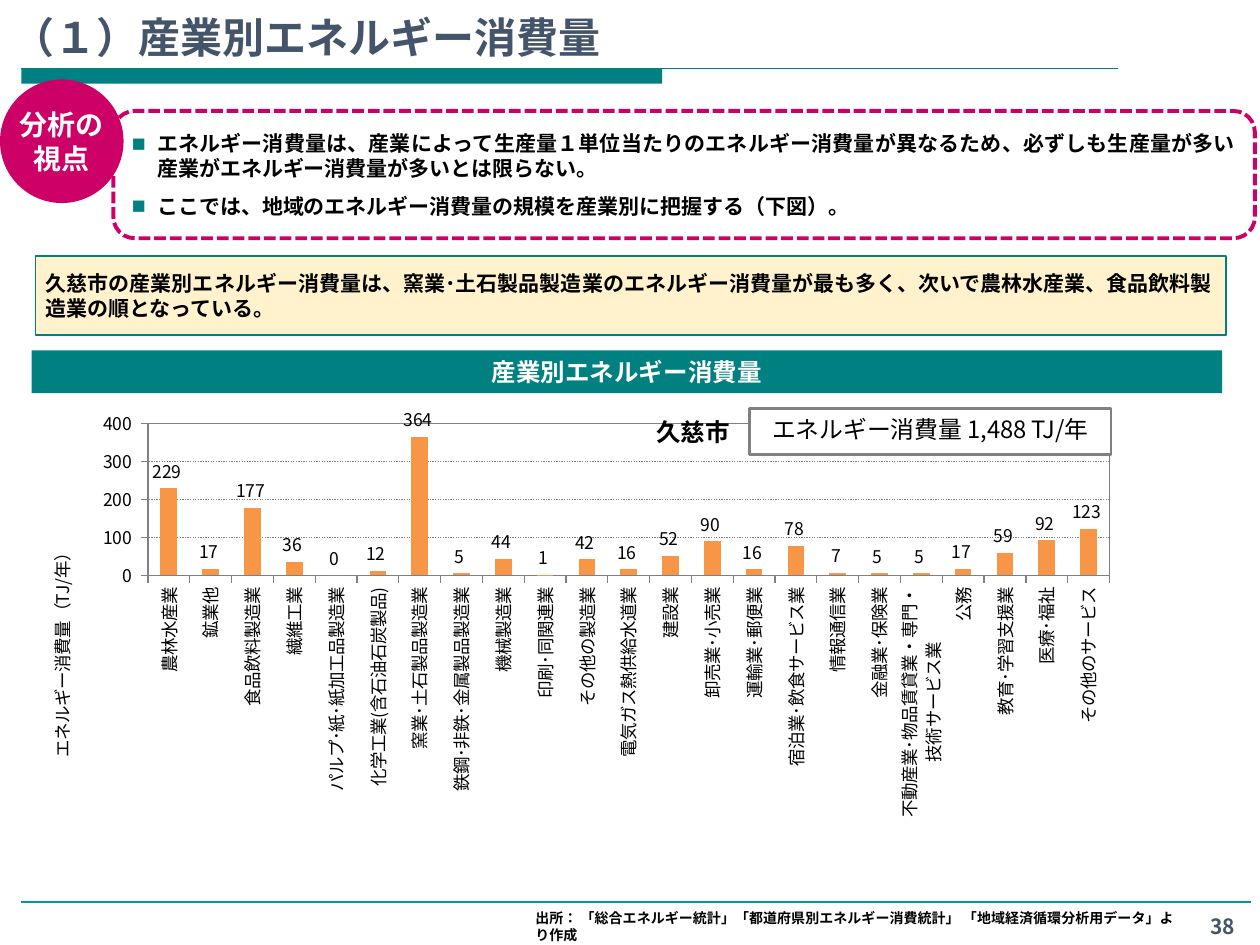
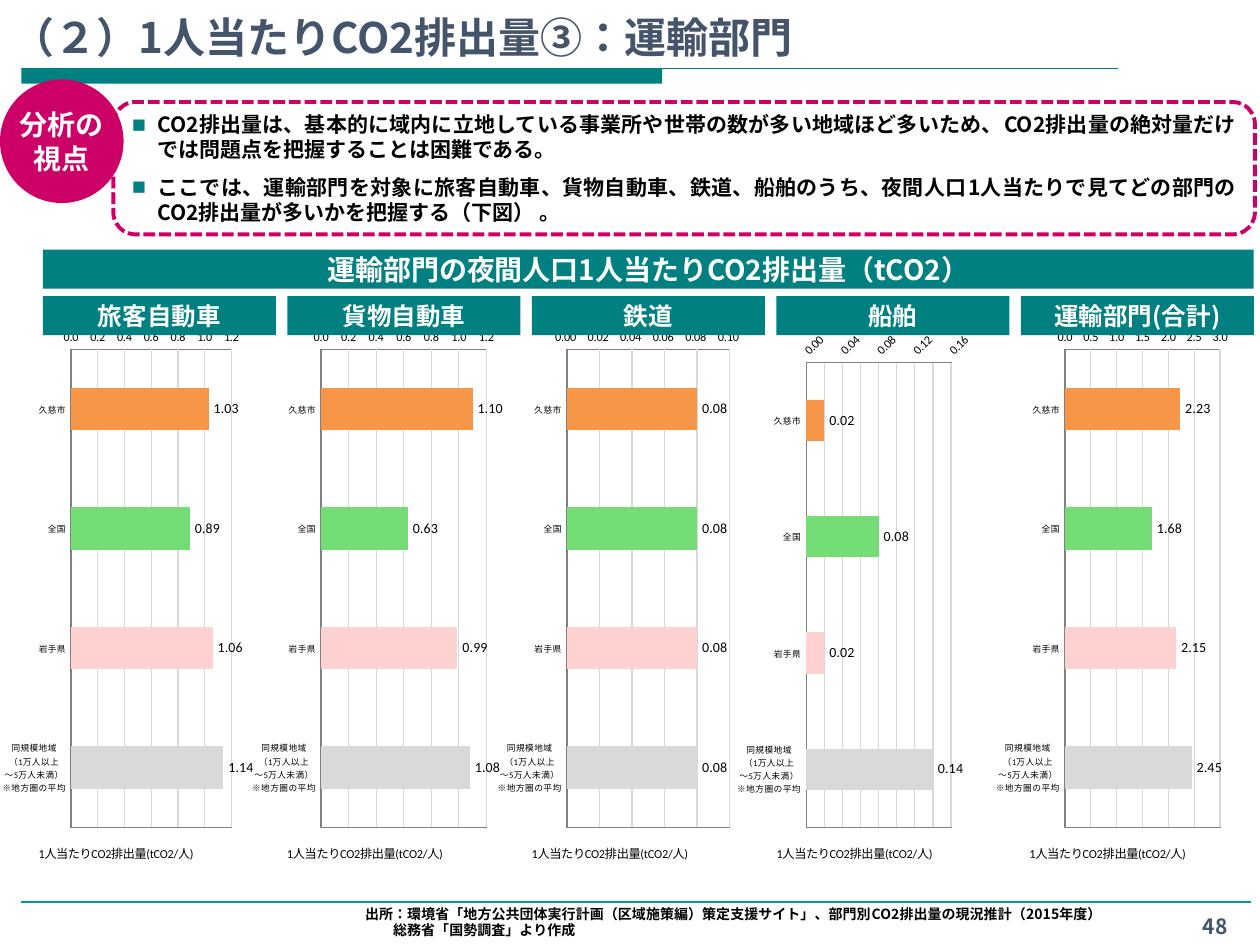
from lxml.etree import SubElement
from pptx import Presentation
from pptx.chart.data import CategoryChartData
from pptx.dml.color import RGBColor
from pptx.enum.chart import XL_CHART_TYPE, XL_LABEL_POSITION, XL_TICK_MARK
from pptx.enum.dml import MSO_LINE
from pptx.enum.shapes import MSO_CONNECTOR, MSO_SHAPE
from pptx.enum.text import MSO_ANCHOR, MSO_AUTO_SIZE, PP_ALIGN
from pptx.oxml import parse_xml
from pptx.oxml.ns import nsdecls, qn
from pptx.util import Pt

COLORS = {
    "teal": "008080", "footer line": "009999", "pink": "CC0066", "cream": "FFF2CC",
    "slate": "44546A", "white": "FFFFFF", "black": "000000", "gray": "808080",
    "grid": "D9D9D9", "orange": "F79646", "green": "75DD75", "rose": "FFD1D1",
}
COLORS = {name: RGBColor.from_string(value) for name, value in COLORS.items()}
FONT = "Noto Sans CJK JP"
CHART_FONT = "Calibri"
ONE_DECIMAL = "#,##0.0;[Red]\\-#,##0.0"
TWO_DECIMALS = "#,##0.00_);[Red]\\(#,##0.00\\)"
INTEGER = "#,##0_);[Red]\\(#,##0\\)"


def add_box(slide, kind, box, text, size, color="black", fill=None, line=None,
            line_width=1, align=PP_ALIGN.CENTER, anchor=MSO_ANCHOR.MIDDLE, bold=True):
    """Add a preset shape, or a text box when kind is None, with uniform text."""
    box = [Pt(value) for value in box]
    if kind is None:
        shape = slide.shapes.add_textbox(*box)
    else:
        shape = slide.shapes.add_shape(kind, *box)
        shape.shadow.inherit = False
        if fill:
            shape.fill.solid()
            shape.fill.fore_color.rgb = COLORS[fill]
        else:
            shape.fill.background()
        if line:
            shape.line.color.rgb = COLORS[line]
            shape.line.width = Pt(line_width)
        else:
            shape.line.fill.background()
    text_frame = shape.text_frame
    text_frame.text = text
    text_frame.word_wrap = True
    text_frame.vertical_anchor = anchor
    for paragraph in text_frame.paragraphs:
        paragraph.alignment = align
        for run in paragraph.runs:
            run.font.name = FONT
            run.font.size = Pt(size)
            run.font.bold = bold
            run.font.color.rgb = COLORS[color]
    return shape


def add_bar_chart(slide, kind, box, plot, title_corner, axis_title, categories, values,
                  point_colors, axis_format, label_format, maximum, step, gap, font, sizes):
    """Add a one-series chart; plot and title_corner are points from the chart corner."""
    data = CategoryChartData()
    data.categories = categories
    data.add_series("Series 1", values)
    left, top, width, height = box
    chart = slide.shapes.add_chart(kind, Pt(left), Pt(top), Pt(width), Pt(height), data).chart
    chart.has_legend = False
    chart.has_title = False
    chart.font.name = font
    chart.font.size = Pt(10)
    chart.font.color.rgb = COLORS["black"]
    category_size, value_size, title_size, label_size = sizes

    # Axes
    category_axis, value_axis = chart.category_axis, chart.value_axis
    for axis, size in ((category_axis, category_size), (value_axis, value_size)):
        axis.tick_labels.font.size = Pt(size)
        axis.tick_labels.font.name = font
        axis.format.line.color.rgb = COLORS["gray"]
        axis.format.line.width = Pt(0.75)
        axis.major_tick_mark = XL_TICK_MARK.NONE
        axis.minor_tick_mark = XL_TICK_MARK.NONE
    value_axis.minimum_scale = 0
    value_axis.maximum_scale = maximum
    value_axis.major_unit = step
    value_axis.tick_labels.number_format = axis_format
    value_axis.tick_labels.number_format_is_linked = False
    title_frame = value_axis.axis_title.text_frame
    title_frame.text = axis_title
    title_font = title_frame.paragraphs[0].runs[0].font
    title_font.name = font
    title_font.size = Pt(title_size)
    title_font.bold = False
    title_font.color.rgb = COLORS["black"]

    # Bars and their labels
    bars = chart.plots[0]
    bars.gap_width = gap
    bars.vary_by_categories = False
    series = bars.series[0]
    series.format.fill.solid()
    series.format.fill.fore_color.rgb = COLORS["orange"]
    for index, color in enumerate(point_colors):
        fill = series.points[index].format.fill
        fill.solid()
        fill.fore_color.rgb = COLORS[color]
    bars.has_data_labels = True
    labels = bars.data_labels
    labels.show_value = True
    labels.position = XL_LABEL_POSITION.OUTSIDE_END
    labels.number_format = label_format
    labels.number_format_is_linked = False
    labels.font.name = font
    labels.font.size = Pt(label_size)

    # Fixed places of the plot and the axis title, transparent chart background
    chart_space = chart._chartSpace
    plot_area = chart_space.find(".//" + qn("c:plotArea"))
    title = value_axis.axis_title._element
    for parent, position, place in ((plot_area, 0, plot), (title, 1, title_corner)):
        for old_layout in parent.findall(qn("c:layout")):
            parent.remove(old_layout)
        layout = parse_xml(f"<c:layout {nsdecls('c')}><c:manualLayout/></c:layout>")
        settings = [("xMode", "edge"), ("yMode", "edge")]
        if parent is plot_area:
            settings.insert(0, ("layoutTarget", "inner"))
        settings += [(key, f"{value / full:.4f}")
                     for key, value, full in zip("xywh", place, (width, height) * 2)]
        for key, value in settings:
            SubElement(layout[0], qn("c:" + key)).set("val", value)
        parent.insert(position, layout)
    plot_area.append(parse_xml(
        f'<c:spPr {nsdecls("c", "a")}><a:noFill/><a:ln w="9525"><a:solidFill>'
        f'<a:srgbClr val="{COLORS["gray"]}"/></a:solidFill></a:ln></c:spPr>'))
    chart_space.find(qn("c:txPr")).addprevious(parse_xml(
        f'<c:spPr {nsdecls("c", "a")}><a:noFill/><a:ln><a:noFill/></a:ln></c:spPr>'))
    return chart


presentation = Presentation()
presentation.slide_width = Pt(720)
presentation.slide_height = Pt(540)
title_only = presentation.slide_layouts[5]
charts = []

# Content of the frame that both slides share
pages = [
    {"title": "（１）産業別エネルギー消費量", "number": "38", "number box": (677.5, 518.4, 42.5, 20.2),
     "view box": (64.8, 63.4, 652.3, 72.7),
     "view": "エネルギー消費量は、産業によって生産量１単位当たりのエネルギー消費量が異なるため、必ずしも生産量が多い産業がエネルギー消費量が多いとは限らない。\n"
             "ここでは、地域のエネルギー消費量の規模を産業別に把握する（下図）。"},
    {"title": "（２）1人当たりCO2排出量③：運輸部門", "number": "48", "number box": (668.9, 518.4, 51.1, 20.2),
     "view box": (64.8, 58.3, 652.3, 75.6),
     "view": "CO2排出量は、基本的に域内に立地している事業所や世帯の数が多い地域ほど多いため、CO2排出量の絶対量だけでは問題点を把握することは困難である。\n"
             "ここでは、運輸部門を対象に旅客自動車、貨物自動車、鉄道、船舶のうち、夜間人口1人当たりで見てどの部門のCO2排出量が多いかを把握する（下図） 。"},
]

for page in pages:
    slide = presentation.slides.add_slide(title_only)

    # Title
    title = slide.shapes.title
    title.left, title.top, title.width, title.height = Pt(0), Pt(0), Pt(625.7), Pt(38.9)
    title.text_frame.text = page["title"]
    title.text_frame.auto_size = MSO_AUTO_SIZE.NONE
    title.text_frame.vertical_anchor = MSO_ANCHOR.BOTTOM
    paragraph = title.text_frame.paragraphs[0]
    paragraph.alignment = PP_ALIGN.LEFT
    font = paragraph.runs[0].font
    font.name, font.size, font.bold = FONT, Pt(24), True
    font.color.rgb = COLORS["slate"]

    # Title band, rules and page number
    add_box(slide, MSO_SHAPE.RECTANGLE, (12.2, 39.3, 366.3, 8.6), "", 10, fill="teal")
    for top, right, color in ((39.3, 638.6, "teal"), (515.5, 715, "footer line")):
        rule = slide.shapes.add_connector(
            MSO_CONNECTOR.STRAIGHT, Pt(12.2), Pt(top), Pt(right), Pt(top))
        rule.line.color.rgb = COLORS[color]
        rule.line.width = Pt(0.75)
        SubElement(rule._element.spPr, qn("a:effectLst"))
    add_box(slide, None, page["number box"], page["number"], 12, "slate", anchor=MSO_ANCHOR.TOP)

    # Viewpoint frame with bullets
    view = add_box(slide, MSO_SHAPE.ROUNDED_RECTANGLE, page["view box"], page["view"], 12,
                   line="pink", line_width=2.25, align=PP_ALIGN.JUSTIFY)
    view.line.dash_style = MSO_LINE.SQUARE_DOT
    for index, paragraph in enumerate(view.text_frame.paragraphs):
        properties = paragraph._p.get_or_add_pPr()
        properties.set("marL", str(Pt(14.4)))
        properties.set("indent", str(-Pt(14.4)))
        bullet_color = SubElement(properties, qn("a:buClr"))
        SubElement(bullet_color, qn("a:srgbClr")).set("val", str(COLORS["teal"]))
        SubElement(properties, qn("a:buSzPct")).set("val", "70000")
        SubElement(properties, qn("a:buFont")).set("typeface", CHART_FONT)
        SubElement(properties, qn("a:buChar")).set("char", "■")
        paragraph.space_before = Pt(3 if index else 0)
        paragraph.space_after = Pt(4)

    # Viewpoint badge
    badge = add_box(slide, MSO_SHAPE.OVAL, (0, 45.4, 70.6, 70.6), "分析の\v視点", 16, "white", "pink")
    badge.text_frame.word_wrap = False
    badge.text_frame.margin_left = badge.text_frame.margin_right = Pt(2.9)

energy_slide, transport_slide = presentation.slides

# Energy use by industry: chart, with the longest label on two lines
energy = {
    "農林水産業": 229, "鉱業他": 17, "食品飲料製造業": 177, "繊維工業": 36,
    "パルプ･紙･紙加工品製造業": 0, "化学工業(含石油石炭製品)": 12, "窯業･土石製品製造業": 364,
    "鉄鋼･非鉄･金属製品製造業": 5, "機械製造業": 44, "印刷･同関連業": 1, "その他の製造業": 42,
    "電気ガス熱供給水道業": 16, "建設業": 52, "卸売業･小売業": 90, "運輸業･郵便業": 16,
    "宿泊業･飲食サービス業": 78, "情報通信業": 7, "金融業･保険業": 5,
    "不動産業･物品賃貸業・専門・\n技術サービス業": 5, "公務": 17, "教育･学習支援業": 59,
    "医療･福祉": 92, "その他のサービス": 123,
}
chart = add_bar_chart(
    energy_slide, XL_CHART_TYPE.COLUMN_CLUSTERED, (12.2, 232.6, 634.3, 279.4),
    (72.4, 8.3, 549.5, 87.3), (13.5, 76), "エネルギー消費量（TJ/年）", list(energy), list(energy.values()),
    [], INTEGER, INTEGER, 400, 100, 150, FONT, (10, 10, 10, 10))
charts.append(chart)
for axis in (chart.category_axis, chart.value_axis):
    axis.major_tick_mark = XL_TICK_MARK.OUTSIDE
grid_line = chart.value_axis.major_gridlines.format.line
grid_line.color.rgb = COLORS["gray"]
grid_line.width = Pt(0.75)
grid_line.dash_style = MSO_LINE.ROUND_DOT
for element in (chart.category_axis._element.find(qn("c:txPr")),
                chart.value_axis.axis_title._element):
    body = next(element.iter(qn("a:bodyPr")))
    body.set("rot", "-5400000")
    body.set("vert", "horz")

# Energy use by industry: finding, heading, total and source
add_box(energy_slide, MSO_SHAPE.RECTANGLE, (20.2, 146.2, 680.4, 45.4),
        "久慈市の産業別エネルギー消費量は、窯業･土石製品製造業のエネルギー消費量が最も多く、次いで農林水産業、食品飲料製造業の順となっている。",
        12, fill="cream", line="teal", align=PP_ALIGN.JUSTIFY).text_frame.margin_left = Pt(5.8)
add_box(energy_slide, MSO_SHAPE.RECTANGLE, (18, 200.2, 680.4, 24.5),
        "産業別エネルギー消費量", 14, "white", "teal")
add_box(energy_slide, MSO_SHAPE.RECTANGLE, (428.4, 233.3, 206.6, 26.6), "エネルギー消費量 1,488 TJ/年",
        13.6, fill="white", line="gray", line_width=1.5, anchor=MSO_ANCHOR.TOP, bold=False)
city = add_box(energy_slide, None, (367.9, 234.7, 56.9, 24.5), "久慈市", 14,
               align=PP_ALIGN.LEFT, anchor=MSO_ANCHOR.TOP)
city.text_frame.word_wrap = False
add_box(energy_slide, None, (298.8, 516.2, 380.2, 17.3),
        "出所： 「総合エネルギー統計」「都道府県別エネルギー消費統計」 「地域経済循環分析用データ」より作成",
        8, align=PP_ALIGN.LEFT, anchor=MSO_ANCHOR.TOP)

# Transport emissions: heading, chart left, chart width, plot left, plot width, format, max, step, values
areas = ["久慈市", "全国", "岩手県", "同規模地域\n（1万人以上\n～5万人未満）\n※地方圏の平均"]
sectors = [
    ("旅客自動車", 0, 146.9, 41, 92.7, ONE_DECIMAL, 1.2, 0.2, (1.03, 0.89, 1.06, 1.14)),
    ("貨物自動車", 141.8, 147.6, 41.9, 94.9, ONE_DECIMAL, 1.2, 0.2, (1.10, 0.63, 0.99, 1.08)),
    ("鉄道", 281.5, 145.4, 42.5, 93, TWO_DECIMALS, 0.1, 0.02, (0.08, 0.08, 0.08, 0.08)),
    ("船舶", 421.2, 143.3, 39.3, 83, TWO_DECIMALS, 0.16, 0.02, (0.02, 0.08, 0.02, 0.14)),
    ("運輸部門(合計)", 565.9, 138.2, 42.7, 88.6, ONE_DECIMAL, 3, 0.5, (2.23, 1.68, 2.15, 2.45)),
]
for name, left, width, plot_left, plot_width, axis_format, maximum, step, values in reversed(sectors):
    slanted = name == "船舶"
    plot_top = 25 if slanted else 17.5
    chart = add_bar_chart(
        transport_slide, XL_CHART_TYPE.BAR_CLUSTERED, (left, 182.2, width, 326.2),
        (plot_left, plot_top, plot_width, 290.7 - plot_top), (21, 298.7), "1人当たりCO2排出量(tCO2/人)",
        areas, values, ["orange", "green", "rose", "grid"], axis_format, TWO_DECIMALS,
        maximum, step, 182, CHART_FONT, (5, 7, 7, 8))
    charts.append(chart)
    chart.category_axis.reverse_order = True
    chart.value_axis.format.line.fill.background()
    grid_line = chart.value_axis.major_gridlines.format.line
    grid_line.color.rgb = COLORS["grid"]
    grid_line.width = Pt(0.75)
    if slanted:
        body = chart.value_axis._element.find(qn("c:txPr")).find(qn("a:bodyPr"))
        body.set("rot", "-2700000")

# Transport emissions: headings over the charts
add_box(transport_slide, MSO_SHAPE.RECTANGLE, (24.5, 142.6, 691.9, 22.3),
        "運輸部門の夜間人口1人当たりCO2排出量（tCO2）", 16, "white", "teal")
for index, sector in enumerate(sectors):
    add_box(transport_slide, MSO_SHAPE.RECTANGLE, (24.5 + index * 139.7, 169.2, 133.2, 22.3),
            sector[0], 14, "white", "teal")

# Transport emissions: source
source = add_box(transport_slide, None, (201.6, 513.4, 472.3, 26.6),
                 "出所：環境省「地方公共団体実行計画（区域施策編）策定支援サイト」、部門別CO2排出量の現況推計（2015年度）\n"
                 "総務省「国勢調査」より作成", 8, align=PP_ALIGN.JUSTIFY, anchor=MSO_ANCHOR.BOTTOM)
source.text_frame.paragraphs[1]._p.get_or_add_pPr().set("marL", str(Pt(16)))

# Japanese language and East Asian font for all text
for root in [slide._element for slide in presentation.slides] + [chart._chartSpace for chart in charts]:
    for latin in list(root.iter(qn("a:latin"))):
        latin.getparent().set("lang", "ja-JP")
        latin.addnext(parse_xml(f'<a:ea {nsdecls("a")} typeface="{FONT}"/>'))

presentation.save("out.pptx")
